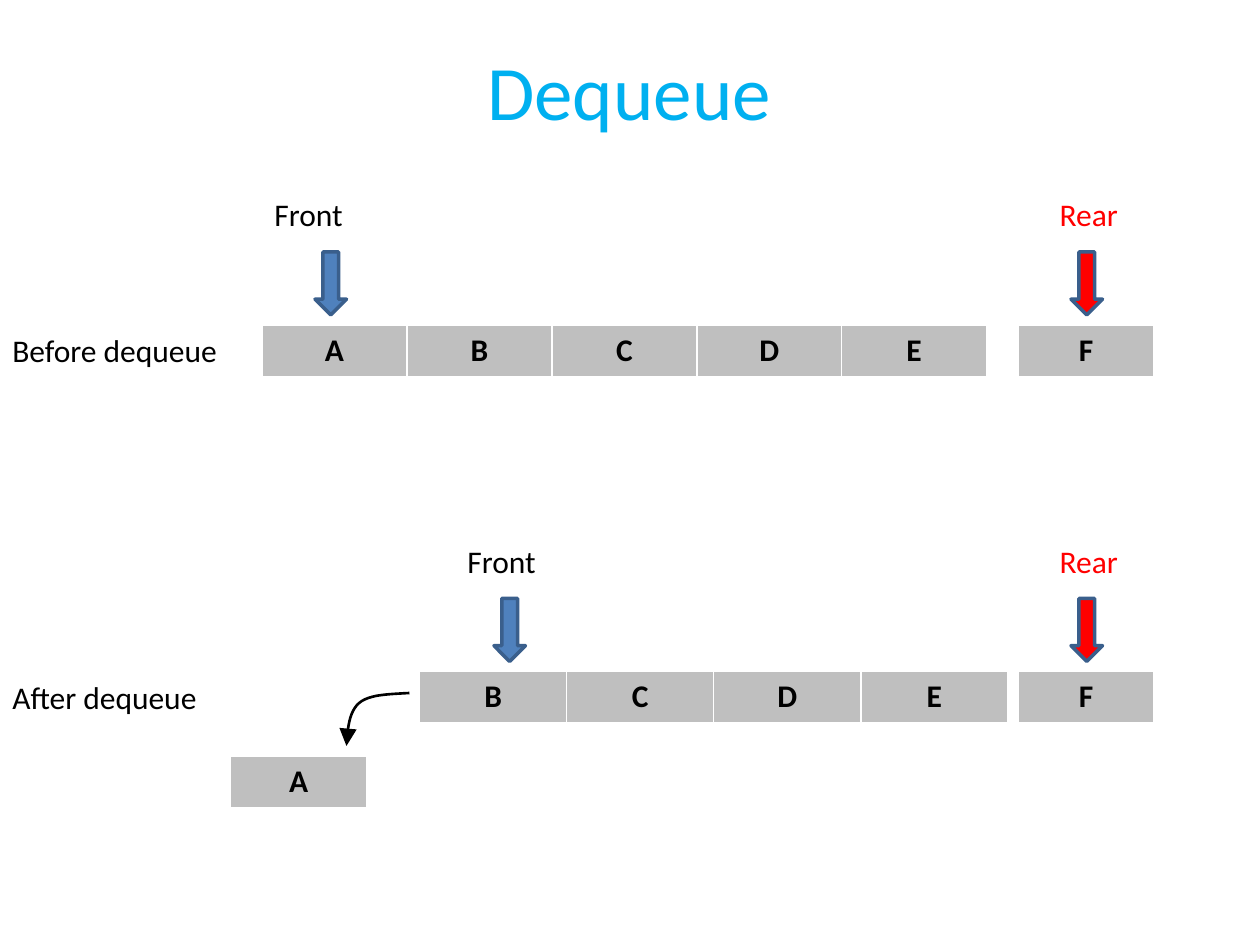
import pptx
import pptx.dml.color
import pptx.enum.shapes
import pptx.enum.text
import pptx.oxml
import pptx.oxml.ns
import pptx.util

Inches = pptx.util.Inches
Pt = pptx.util.Pt
RGBColor = pptx.dml.color.RGBColor
PP_ALIGN = pptx.enum.text.PP_ALIGN

FONT = "Calibri"
BLACK = RGBColor(0x00, 0x00, 0x00)
RED = RGBColor(0xFF, 0x00, 0x00)
BLUE = RGBColor(0x4F, 0x81, 0xBD)
OUTLINE = RGBColor(0x3A, 0x5F, 0x8C)
SKY = RGBColor(0x00, 0xB0, 0xF0)
GRAY = RGBColor(0xBF, 0xBF, 0xBF)

TITLE = "Dequeue"
CELL_HEIGHT = 0.41
SINGLE_WIDTH = 1.08
LABEL_RISE, ARROW_RISE = 1.08, 0.58

STATES = [
    {
        "caption": "Before dequeue",
        "top": 2.58,
        "cells": [("ABCDE", 2.08, 5.75), ("F", 8.08, SINGLE_WIDTH)],
        "pointers": [
            ("Front", 2.08, 1, 0, 2.5, BLACK, BLUE),
            ("Rear", 8.25, 0.83, 0.06, 8.5, RED, RED),
        ],
    },
    {
        "caption": "After dequeue",
        "top": 5.33,
        "cells": [("BCDE", 3.33, 4.67), ("F", 8.08, SINGLE_WIDTH)],
        "pointers": [
            ("Front", 3.5, 1, 0.11, 3.92, BLACK, BLUE),
            ("Rear", 8.25, 0.83, 0.06, 8.5, RED, RED),
        ],
    },
]
REMOVED = ("A", 1.83, 6, SINGLE_WIDTH)
REMOVAL_CURVES = [
    [(3.25, 5.5), (3.09, 5.51), (2.93, 5.51), (2.85, 5.58)],
    [(2.85, 5.58), (2.77, 5.65), (2.76, 5.78), (2.75, 5.92)],
]
CURVE_STEPS = 12


def add_text(paragraph, text, color, size=18, bold=False):
    run = paragraph.add_run()
    run.text = text
    run.font.name = FONT
    run.font.size = Pt(size)
    run.font.bold = bold
    run.font.color.rgb = color


def add_label(slide, text, left, top, width, color, indent=0):
    box = slide.shapes.add_textbox(
        Inches(left), Inches(top), Inches(width), Inches(0.4))
    frame = box.text_frame
    frame.word_wrap = True
    frame.margin_left = Inches(0.1 + indent)
    add_text(frame.paragraphs[0], text, color)


def add_arrow(slide, left, top, color):
    arrow = slide.shapes.add_shape(
        pptx.enum.shapes.MSO_SHAPE.DOWN_ARROW,
        Inches(left), Inches(top), Inches(0.25), Inches(0.5))
    arrow.shadow.inherit = False
    arrow.fill.solid()
    arrow.fill.fore_color.rgb = color
    arrow.line.color.rgb = OUTLINE
    arrow.line.width = Pt(2)


def add_cells(slide, letters, left, top, width):
    table = slide.shapes.add_table(
        1, len(letters), Inches(left), Inches(top),
        Inches(width), Inches(CELL_HEIGHT)).table
    table.horz_banding = False
    for cell, letter in zip(table.rows[0].cells, letters):
        cell.fill.solid()
        cell.fill.fore_color.rgb = GRAY
        paragraph = cell.text_frame.paragraphs[0]
        paragraph.alignment = PP_ALIGN.CENTER
        add_text(paragraph, letter, BLACK, bold=True)


def curve_point(controls, t):
    weights = ((1 - t) ** 3, 3 * t * (1 - t) ** 2, 3 * t * t * (1 - t), t ** 3)
    return tuple(
        Inches(sum(weight * point[axis] for weight, point in zip(weights, controls)))
        for axis in (0, 1))


def add_removal_arrow(slide):
    points = [
        curve_point(controls, step / CURVE_STEPS)
        for controls in REMOVAL_CURVES
        for step in range(1, CURVE_STEPS + 1)]
    start_x, start_y = curve_point(REMOVAL_CURVES[0], 0)
    builder = slide.shapes.build_freeform(start_x, start_y)
    builder.add_line_segments(points, close=False)
    curve = builder.convert_to_shape()
    curve.shadow.inherit = False
    curve.fill.background()
    curve.line.color.rgb = BLACK
    curve.line.width = Pt(1.5)
    line = curve.line._get_or_add_ln()
    line.append(pptx.oxml.parse_xml(
        f'<a:tailEnd {pptx.oxml.ns.nsdecls("a")} type="triangle" w="lg" len="lg"/>'))


def add_title(slide):
    title = slide.shapes.title
    title.left, title.top = Inches(1.08), Inches(0.17)
    title.width, title.height = Inches(7.83), Inches(1.08)
    title.text_frame.vertical_anchor = pptx.enum.text.MSO_ANCHOR.MIDDLE
    paragraph = title.text_frame.paragraphs[0]
    paragraph.alignment = PP_ALIGN.CENTER
    add_text(paragraph, TITLE, SKY, size=44)
    subtitle = slide.placeholders[1].element
    subtitle.getparent().remove(subtitle)


def main():
    presentation = pptx.Presentation()
    presentation.slide_width = Inches(10)
    presentation.slide_height = Inches(7.5)
    slide = presentation.slides.add_slide(presentation.slide_layouts[0])
    add_title(slide)
    for state in STATES:
        top = state["top"]
        add_label(slide, state["caption"], 0, top, 1.83, BLACK)
        for letters, left, width in state["cells"]:
            add_cells(slide, letters, left, top, width)
        for text, left, width, indent, arrow_left, color, fill in state["pointers"]:
            add_label(slide, text, left, top - LABEL_RISE, width, color, indent)
            add_arrow(slide, arrow_left, top - ARROW_RISE, fill)
    add_cells(slide, *REMOVED)
    add_removal_arrow(slide)
    presentation.save("out.pptx")


if __name__ == "__main__":
    main()
